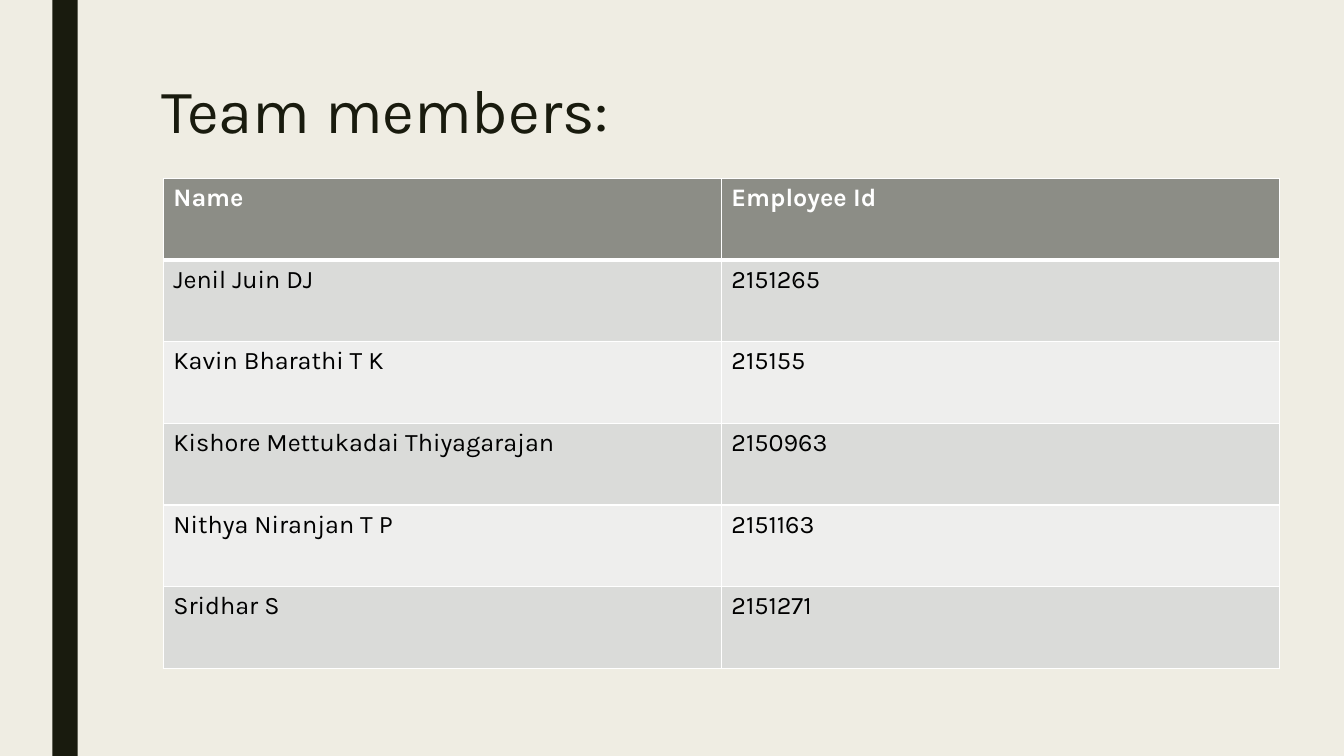
from dataclasses import dataclass

from lxml.etree import SubElement
from pptx import Presentation
from pptx.dml.color import RGBColor
from pptx.enum.shapes import MSO_SHAPE
from pptx.enum.text import MSO_ANCHOR
from pptx.oxml.ns import qn
from pptx.util import Inches, Pt


@dataclass(frozen=True)
class Theme:
    """Colours, font and type sizes of the slide."""
    background: str = "EFEDE3"
    dark: str = "191B0E"
    white: str = "FFFFFF"
    black: str = "000000"
    header: str = "8C8D86"
    bands: tuple = ("DADBD9", "EEEEED")
    font: str = "Karla"
    title_size: int = 44
    table_size: int = 18
    thin_border: int = 1
    header_border: int = 3


THEME = Theme()
MEMBERS = [
    ("Name", "Employee Id"),
    ("Jenil Juin DJ", "2151265"),
    ("Kavin Bharathi T K", "215155"),
    ("Kishore Mettukadai Thiyagarajan", "2150963"),
    ("Nithya Niranjan T P", "2151163"),
    ("Sridhar S", "2151271"),
]


def apply_format(target, values):
    """Set each named attribute on the target."""
    for name, value in values.items():
        setattr(target, name, value)


def paint(fill, colour):
    """Make a fill solid in the given colour."""
    fill.solid()
    fill.fore_color.rgb = RGBColor.from_string(colour)


def write(frame, wording, size, colour, bold=False):
    """Write one formatted line of text and return its paragraph."""
    paragraph = frame.paragraphs[0]
    run = paragraph.add_run()
    run.text = wording
    apply_format(run.font, {"name": THEME.font, "size": Pt(size), "bold": bold})
    run.font.color.rgb = RGBColor.from_string(colour)
    return paragraph


def border_cell(cell, bottom, top):
    """Draw white borders around a cell."""
    properties = cell._tc.get_or_add_tcPr()
    thin = THEME.thin_border
    for side, width in {"L": thin, "R": thin, "T": top, "B": bottom}.items():
        line = SubElement(properties, qn(f"a:ln{side}"), w=str(Pt(width)))
        solid = SubElement(line, qn("a:solidFill"))
        SubElement(solid, qn("a:srgbClr"), val=THEME.white)


def add_side_bar(slide, left, top, width, height):
    """Place the dark vertical bar."""
    bar = slide.shapes.add_shape(MSO_SHAPE.RECTANGLE, left, top, width, height)
    bar.shadow.inherit = False
    paint(bar.fill, THEME.dark)
    bar.line.fill.background()


def add_title(slide, left, top, width, height):
    """Place the slide title."""
    frame = slide.shapes.add_textbox(left, top, width, height).text_frame
    apply_format(frame, {"word_wrap": True, "vertical_anchor": MSO_ANCHOR.TOP})
    title = write(frame, "Team members:", THEME.title_size, THEME.dark)
    title.line_spacing = 0.89


def add_member_table(slide, left, top, width, height):
    """Place the table of names and employee ids."""
    table = slide.shapes.add_table(
        len(MEMBERS), len(MEMBERS[0]), left, top, width, height).table
    for row, member in enumerate(MEMBERS):
        heading = row == 0
        fill = THEME.header if heading else THEME.bands[(row - 1) % 2]
        colour = THEME.white if heading else THEME.black
        bottom = THEME.header_border if heading else THEME.thin_border
        above = THEME.header_border if row == 1 else THEME.thin_border
        for column, wording in enumerate(member):
            cell = table.cell(row, column)
            border_cell(cell, bottom, above)
            paint(cell.fill, fill)
            write(cell.text_frame, wording, THEME.table_size, colour, heading)


def main():
    """Build and save the team slide."""
    deck = Presentation()
    apply_format(deck, {"slide_width": Inches(13.33), "slide_height": Inches(7.5)})
    slide = deck.slides.add_slide(deck.slide_layouts[6])
    paint(slide.background.fill, THEME.background)
    add_side_bar(slide, Inches(0.52), Inches(0), Inches(0.25), deck.slide_height)
    add_title(slide, Inches(1.5), Inches(0.75), Inches(10.5), Inches(1.62))
    add_member_table(slide, Inches(1.62), Inches(1.77), Inches(11.07), Inches(4.86))
    deck.save("out.pptx")


if __name__ == "__main__":
    main()
